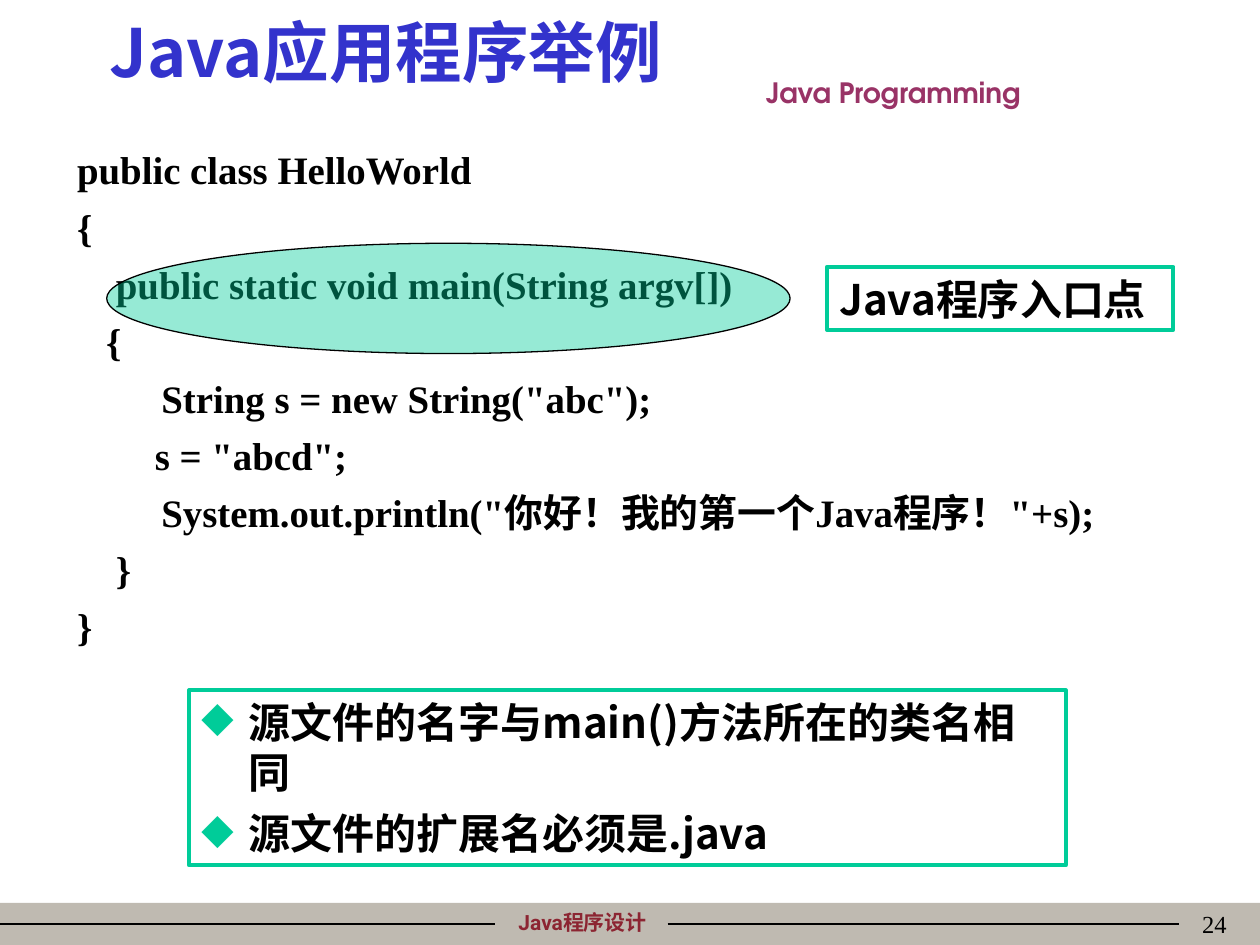
"""Build the slide that walks through a first Java application."""
from dataclasses import dataclass

import pptx
import pptx.dml.color
import pptx.enum.shapes
import pptx.enum.text
import pptx.oxml
import pptx.oxml.ns
import pptx.util
from lxml import etree

Pt = pptx.util.Pt
ALIGN = pptx.enum.text.PP_ALIGN
ANCHOR = pptx.enum.text.MSO_ANCHOR
SHAPE = pptx.enum.shapes.MSO_SHAPE


@dataclass(frozen=True)
class Theme:
    """Colours, fonts and type sizes of the slide."""
    ink: str = "000000"
    title: str = "3333CC"
    course: str = "993366"
    footer: str = "8C2532"
    bar: str = "BFBAB1"
    accent: str = "00CC99"
    cjk: str = "Noto Sans CJK SC"
    serif: str = "Times New Roman"
    sans: str = "Roboto"
    display: str = "TeX Gyre Adventor"
    title_size: float = 38
    note_size: float = 24
    code_size: float = 22.2
    course_size: float = 16
    number_size: float = 14
    footer_size: float = 12
    leading: float = 1.2
    thin: float = 0.75
    thick: float = 2.25


THEME = Theme()
CODE = [
    (0, "public class HelloWorld"),
    (0, "{"),
    (22.2, "public static void main(String argv[])"),
    (16.65, "{"),
    (48.2, 'String s = new String("abc");'),
    (44.4, 's = "abcd";'),
    (48.2, 'System.out.println("你好！我的第一个Java程序！"+s);'),
    (22.2, "}"),
    (0, "}"),
]
RULES = ["源文件的名字与main()方法所在的类名相同", "源文件的扩展名必须是.java"]


def rgb(value):
    """Turn a hex string into a colour."""
    return pptx.dml.color.RGBColor.from_string(value)


def child(parent, tag, **attributes):
    """Append a DrawingML element to its parent."""
    return etree.SubElement(parent, pptx.oxml.ns.qn(tag), attributes)


def write(box, lines, size, font, color, bold=True, align=ALIGN.LEFT,
          anchor=ANCHOR.TOP, wrap=True):
    """Fill a shape with formatted paragraphs and return them."""
    frame = box.text_frame
    frame.text = "\n".join(lines)
    frame.word_wrap = wrap
    frame.vertical_anchor = anchor
    for para in frame.paragraphs:
        para.alignment = align
        for span in para.runs:
            span.font.size = Pt(size)
            span.font.name = font
            span.font.bold = bold
            span.font.color.rgb = rgb(color)
            child(span.font._element, "a:ea", typeface=THEME.cjk)
    return frame.paragraphs


def add_text(page, place, *content, **style):
    """Add a text box with formatted paragraphs."""
    box = page.shapes.add_textbox(*map(Pt, place))
    return write(box, *content, **style)


def add_shape(page, kind, place, fill=None, line=None, width=THEME.thin):
    """Add a preset shape with plain fill and outline."""
    shape = page.shapes.add_shape(kind, *map(Pt, place))
    shape.shadow.inherit = False
    if fill:
        shape.fill.solid()
        shape.fill.fore_color.rgb = rgb(fill)
    else:
        shape.fill.background()
    if line:
        shape.line.color.rgb = rgb(line)
        shape.line.width = Pt(width)
    else:
        shape.line.fill.background()
    return shape


def add_rule(page, left, right, top):
    """Add a thin horizontal line."""
    rule = page.shapes.add_connector(
        pptx.enum.shapes.MSO_CONNECTOR.STRAIGHT, *map(Pt, (left, top, right, top)))
    rule.line.color.rgb = rgb(THEME.ink)
    rule.line.width = Pt(THEME.thin)
    child(rule._element.spPr, "a:effectLst")


def set_spacing(paragraphs, size):
    """Give paragraphs an even line pitch with a gap before each."""
    for para in paragraphs:
        para.line_spacing = Pt(size * THEME.leading)
        para.space_before = Pt(6)


def add_frame(page):
    """Add the footer bar, course name and page number."""
    add_shape(page, SHAPE.RECTANGLE, (0, 516, 720, 24), fill=THEME.bar)
    add_text(page, (260.5, 516, 145, 21.5), ["Java程序设计"], THEME.footer_size,
             THEME.sans, THEME.footer, align=ALIGN.CENTER)
    for left, right in ((0, 283), (381.5, 674)):
        add_rule(page, left, right, 528)
    add_text(page, (366, 39.5, 289, 26.5), ["Java Programming"], THEME.course_size,
             THEME.display, THEME.course, align=ALIGN.CENTER)
    add_text(page, (558, 516, 150, 36), ["24"], THEME.number_size,
             THEME.serif, THEME.ink, bold=False, align=ALIGN.RIGHT)


def add_code(page):
    """Add the program listing with indented lines."""
    paragraphs = add_text(page, (37, 80, 664.5, 309), [text for _, text in CODE],
                          THEME.code_size, THEME.serif, THEME.ink)
    set_spacing(paragraphs, THEME.code_size)
    for para, (indent, _) in zip(paragraphs, CODE):
        para._p.get_or_add_pPr().set("marL", str(Pt(indent)))


def add_rules_box(page):
    """Add the framed list of naming rules."""
    box = add_shape(page, SHAPE.RECTANGLE, (108, 394.5, 501, 100),
                    line=THEME.accent, width=THEME.thick)
    paragraphs = write(box, RULES, THEME.note_size, THEME.cjk, THEME.ink)
    set_spacing(paragraphs, THEME.note_size)
    for para in paragraphs:
        properties = para._p.get_or_add_pPr()
        properties.set("marL", str(Pt(27)))
        properties.set("indent", str(-Pt(27)))
        child(child(properties, "a:buClr"), "a:srgbClr", val=THEME.accent)
        child(properties, "a:buChar", char="◆")


def add_entry_point(page):
    """Add the see-through ellipse over main and its label."""
    ellipse = add_shape(page, SHAPE.OVAL, (61, 139, 390.5, 63),
                        fill=THEME.accent, line=THEME.ink)
    color = ellipse._element.spPr.find(".//" + pptx.oxml.ns.qn("a:srgbClr"))
    child(color, "a:alpha", val="41000")
    label = add_shape(page, SHAPE.RECTANGLE, (472.5, 152.5, 198, 36),
                      line=THEME.accent, width=THEME.thick)
    write(label, ["Java程序入口点"], THEME.note_size, THEME.cjk, THEME.ink,
          anchor=ANCHOR.MIDDLE, wrap=False)


def main():
    """Build and save the deck."""
    deck = pptx.Presentation()
    deck.slide_width, deck.slide_height = Pt(720), Pt(540)
    page = deck.slides.add_slide(deck.slide_layouts[6])
    add_frame(page)
    add_text(page, (55.5, 3, 612, 52.5), ["Java应用程序举例"], THEME.title_size,
             THEME.cjk, THEME.title, anchor=ANCHOR.MIDDLE)
    add_code(page)
    add_rules_box(page)
    add_entry_point(page)
    deck.save("out.pptx")


if __name__ == "__main__":
    main()
